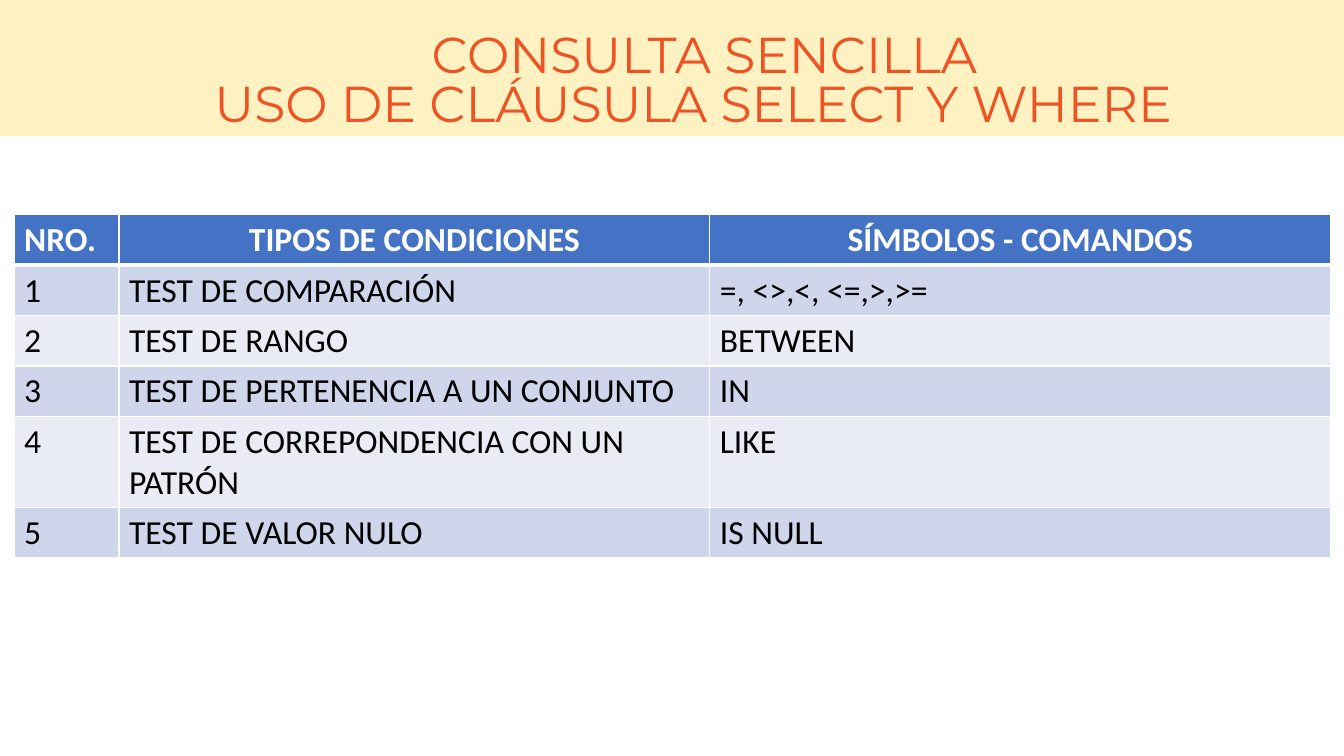
import pptx
import pptx.util
import pptx.dml.color
import pptx.enum.shapes
import pptx.enum.text
import pptx.oxml
import pptx.oxml.ns
from lxml import etree

Inches, Pt = pptx.util.Inches, pptx.util.Pt
RGBColor = pptx.dml.color.RGBColor
ALIGN = pptx.enum.text.PP_ALIGN
qn = pptx.oxml.ns.qn

YELLOW = RGBColor(0xFF, 0xCC, 0x00)
ORANGE = RGBColor(0xEE, 0x53, 0x23)
BLUE = RGBColor(0x44, 0x72, 0xC4)
BAND_DARK = RGBColor(0xCF, 0xD5, 0xEA)
BAND_LIGHT = RGBColor(0xE9, 0xEB, 0xF5)
WHITE = RGBColor(0xFF, 0xFF, 0xFF)
BLACK = RGBColor(0x00, 0x00, 0x00)

CONDITIONS = [
    ("NRO.", "TIPOS DE CONDICIONES", "SÍMBOLOS - COMANDOS"),
    ("1", "TEST DE COMPARACIÓN", "=, <>,<, <=,>,>="),
    ("2", "TEST DE RANGO", "BETWEEN"),
    ("3", "TEST DE PERTENENCIA A UN CONJUNTO", "IN"),
    ("4", "TEST DE CORREPONDENCIA CON UN PATRÓN", "LIKE"),
    ("5", "TEST DE VALOR NULO", "IS NULL"),
]
COL_WIDTHS = [1.04, 5.86, 6.16]
ROW_HEIGHTS = [0.5, 0.5, 0.5, 0.5, 0.9, 0.5]


def write_text(tf, text, *, font, size, color, bold=False, align=ALIGN.LEFT):
    p = tf.paragraphs[0]
    p.alignment = align
    r = p.add_run()
    r.text = text
    r.font.name = font
    r.font.size = Pt(size)
    r.font.bold = bold
    r.font.color.rgb = color


class SlideBuilder:
    title_font = "Montserrat"
    table_font = "Calibri"

    def __init__(self, s):
        self.s = s

    def band(self, x, y, w, h, color, opacity):
        sp = self.s.shapes.add_shape(
            pptx.enum.shapes.MSO_SHAPE.RECTANGLE,
            Inches(x), Inches(y), Inches(w), Inches(h))
        sp.shadow.inherit = False
        sp.line.fill.background()
        sp.fill.solid()
        sp.fill.fore_color.rgb = color
        clr = next(sp.fill._xPr.iter(qn("a:srgbClr")))
        etree.SubElement(clr, qn("a:alpha"), val=str(opacity * 1000))

    def title(self, text, x, y, w, h):
        tf = self.s.shapes.add_textbox(
            Inches(x), Inches(y), Inches(w), Inches(h)).text_frame
        tf.word_wrap = True
        write_text(tf, text, font=self.title_font, size=36, color=ORANGE,
                   align=ALIGN.CENTER)

    def borders(self, cell, bottom):
        tcPr = cell._tc.get_or_add_tcPr()
        for side, width in (("L", 1), ("R", 1), ("T", 1), ("B", bottom)):
            ln = etree.SubElement(tcPr, qn(f"a:ln{side}"), w=str(Pt(width)))
            fill = etree.SubElement(ln, qn("a:solidFill"))
            etree.SubElement(fill, qn("a:srgbClr"), val=str(WHITE))

    def table(self, rows, x, y, widths, heights):
        tbl = self.s.shapes.add_table(
            len(rows), len(widths), Inches(x), Inches(y),
            Inches(sum(widths)), Inches(sum(heights))).table
        for col, width in zip(tbl.columns, widths):
            col.width = Inches(width)
        for i, (values, height) in enumerate(zip(rows, heights)):
            tbl.rows[i].height = Inches(height)
            header = i == 0
            shade = BLUE if header else BAND_DARK if i % 2 else BAND_LIGHT
            for j, text in enumerate(values):
                cell = tbl.cell(i, j)
                self.borders(cell, bottom=3 if header else 1)
                cell.fill.solid()
                cell.fill.fore_color.rgb = shade
                write_text(cell.text_frame, text, font=self.table_font, size=24,
                           color=WHITE if header else BLACK, bold=header,
                           align=ALIGN.CENTER if header and j else ALIGN.LEFT)


def main():
    prs = pptx.Presentation()
    prs.slide_width, prs.slide_height = Inches(13.33), Inches(7.5)
    b = SlideBuilder(prs.slides.add_slide(prs.slide_layouts[6]))

    # Heading band and two title lines
    b.band(0, 0, 13.33, 1.35, YELLOW, opacity=24)
    b.title("CONSULTA SENCILLA", 1.09, 0.18, 11.79, 0.71)
    b.title("USO DE CLÁUSULA SELECT Y WHERE", 0.98, 0.67, 11.79, 0.71)

    # Condition types and their symbols
    b.table(CONDITIONS, 0.14, 2.13, COL_WIDTHS, ROW_HEIGHTS)

    prs.save("out.pptx")


if __name__ == "__main__":
    main()
